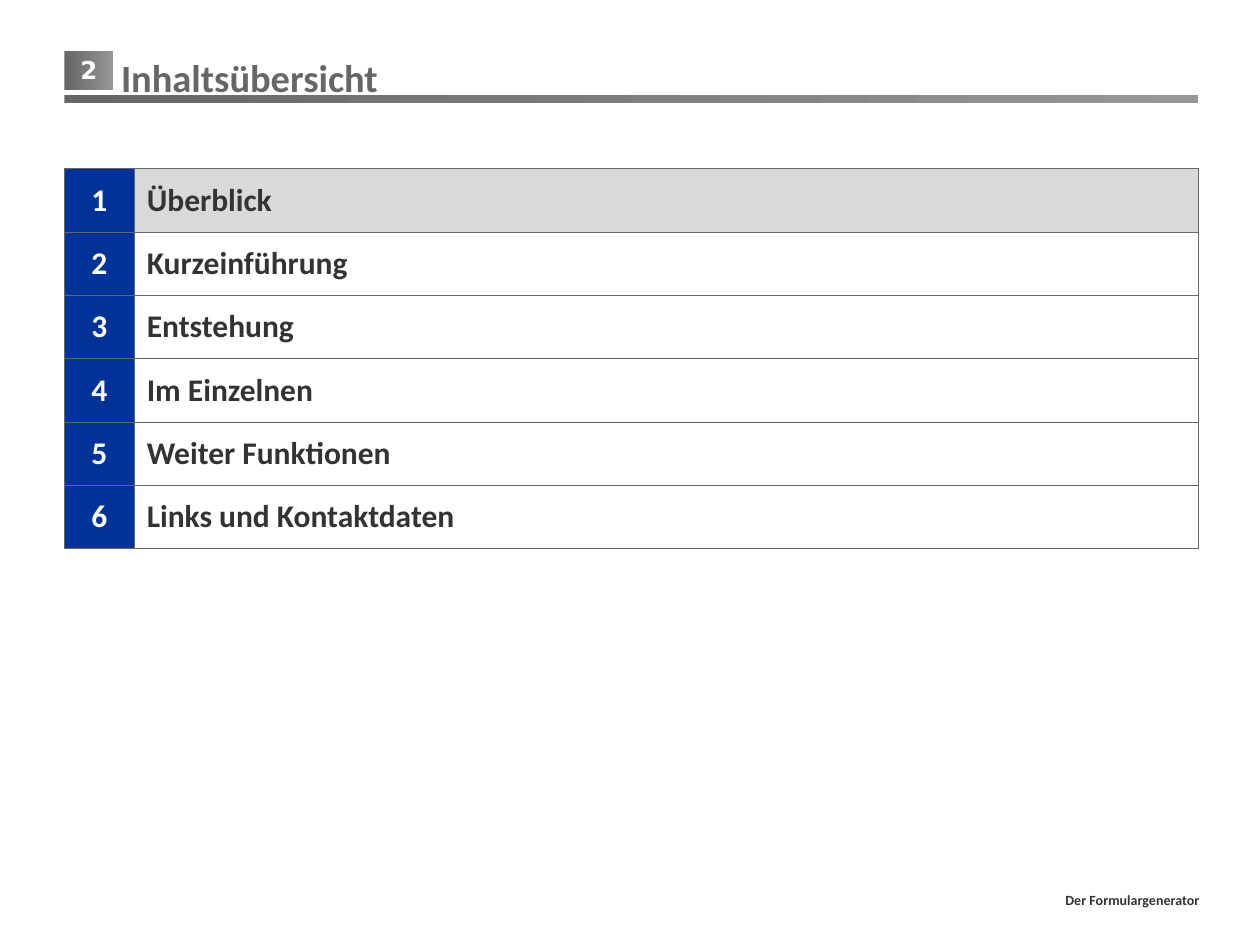
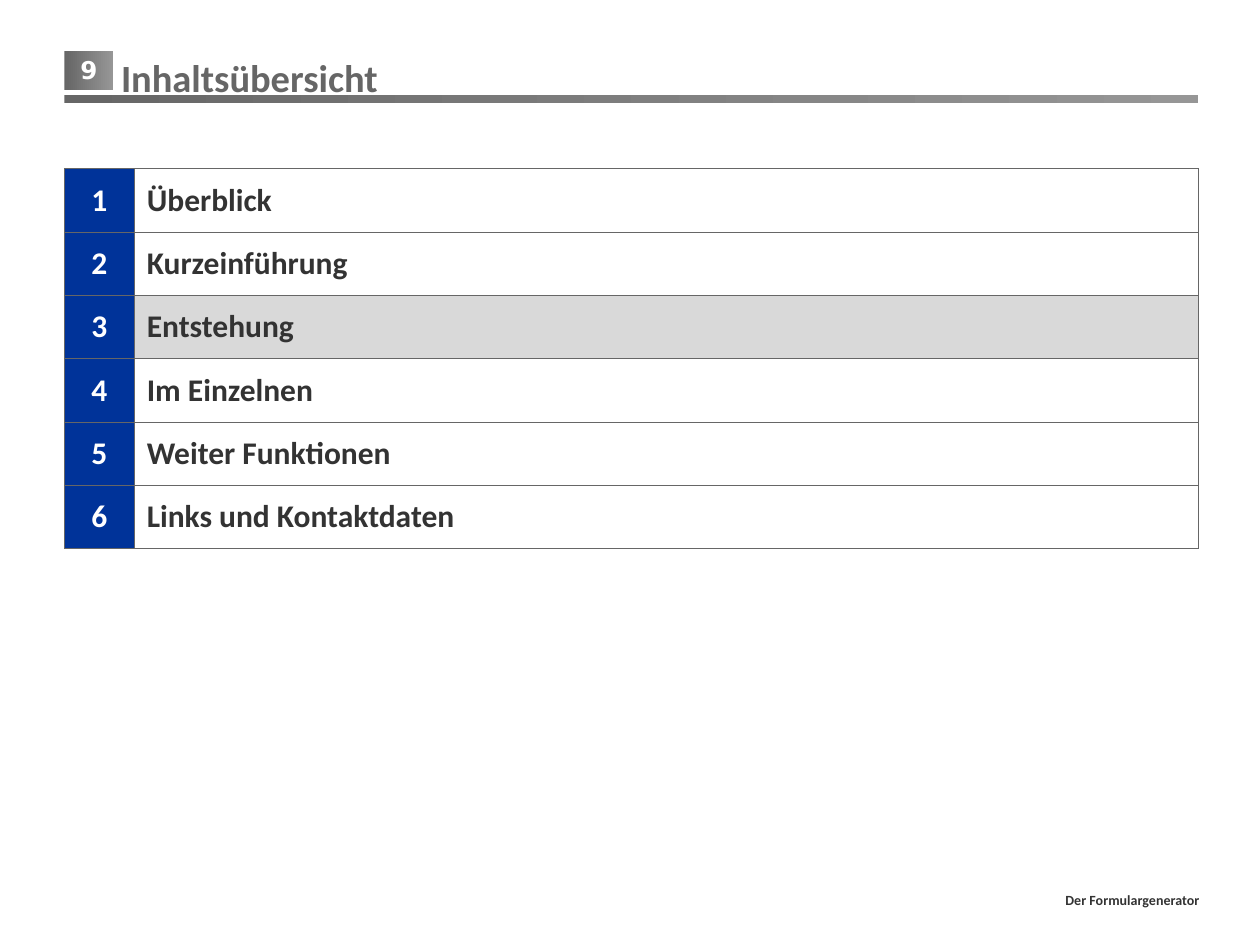
import pptx
import pptx.dml.color
import pptx.enum.shapes
import pptx.enum.text
import pptx.oxml
import pptx.oxml.ns
import pptx.util
from pptx.dml.color import RGBColor
from pptx.util import Cm

TITLE = "Inhaltsübersicht"
FOOTER = "Der Formulargenerator"
CHAPTERS = [
    "Überblick",
    "Kurzeinführung",
    "Entstehung",
    "Im Einzelnen",
    "Weiter Funktionen",
    "Links und Kontaktdaten",
]
PAGES = [
    {"number": 2, "current": "Überblick"},
    {"number": 9, "current": "Entstehung"},
]

GREY = RGBColor(0x66, 0x66, 0x66)
LIGHT_GREY = RGBColor(0x96, 0x96, 0x96)
HIGHLIGHT = RGBColor(0xD9, 0xD9, 0xD9)
INK = RGBColor(0x33, 0x33, 0x33)
BLUE = RGBColor(0x00, 0x33, 0x99)
WHITE = RGBColor(0xFF, 0xFF, 0xFF)

FONT = "Calibri"
NUMBER_FONT = "DejaVu Sans"
LEFT, WIDTH = 1.3, 22.86
TABLE_TOP, ROW_HEIGHT, NUMBER_WIDTH = 3.4, 1.27, 1.41
CELL_MARGIN = Cm(0.25)

ALIGN = pptx.enum.text.PP_ALIGN
ANCHOR = pptx.enum.text.MSO_ANCHOR
SHAPE = pptx.enum.shapes.MSO_SHAPE


def write(frame, text, size, color, align=ALIGN.LEFT, font=FONT):
    para = frame.paragraphs[0]
    para.alignment = align
    span = para.add_run()
    span.text = text
    span.font.name = font
    span.font.size = pptx.util.Pt(size)
    span.font.bold = True
    span.font.color.rgb = color


def add_box(page, kind, left, top, width, height):
    box = page.shapes.add_shape(kind, Cm(left), Cm(top), Cm(width), Cm(height))
    box.shadow.inherit = False
    box.fill.background()
    box.line.fill.background()
    box.text_frame.vertical_anchor = ANCHOR.MIDDLE
    return box


def shade(box):
    box.fill.gradient()
    box.fill.gradient_angle = 0
    for stop, color in zip(box.fill.gradient_stops, (GREY, LIGHT_GREY)):
        stop.color.rgb = color


def add_title(page):
    title = page.shapes.title
    title.left, title.top = Cm(2.24), Cm(0.91)
    title.width, title.height = Cm(22.02), Cm(1.19)
    frame = title.text_frame
    frame.auto_size = pptx.enum.text.MSO_AUTO_SIZE.NONE
    frame.vertical_anchor = ANCHOR.BOTTOM
    frame.margin_left = Cm(0.2)
    frame.margin_top = frame.margin_bottom = Cm(0.07)
    write(frame, TITLE, 22, GREY)


def add_frame(page, number):
    badge = add_box(page, SHAPE.RECTANGLE, LEFT, 1.02, 0.99, 0.79)
    shade(badge)
    badge.text_frame.word_wrap = False
    write(badge.text_frame, str(number), 14, WHITE, ALIGN.CENTER, NUMBER_FONT)
    shade(add_box(page, SHAPE.RECTANGLE, LEFT, 1.92, WIDTH, 0.16))
    footer = add_box(page, SHAPE.ROUNDED_RECTANGLE, 2.92, 17.68, 21.56, 0.91)
    footer.text_frame.word_wrap = True
    write(footer.text_frame, FOOTER, 8, INK, ALIGN.RIGHT)
    add_title(page)


def add_borders(cell):
    properties = cell._tc.get_or_add_tcPr()
    for side in ("lnL", "lnR", "lnT", "lnB"):
        properties.append(pptx.oxml.parse_xml(
            f'<a:{side} {pptx.oxml.ns.nsdecls("a")} w="3175"><a:solidFill>'
            f'<a:srgbClr val="{GREY}"/></a:solidFill></a:{side}>'
        ))


def fill_cell(cell, text, fill, color, align):
    cell.margin_left = cell.margin_right = CELL_MARGIN
    cell.margin_top = cell.margin_bottom = CELL_MARGIN
    cell.vertical_anchor = ANCHOR.MIDDLE
    add_borders(cell)
    cell.fill.solid()
    cell.fill.fore_color.rgb = fill
    write(cell.text_frame, text, 18, color, align)


def add_chapters(page, current):
    table = page.shapes.add_table(
        len(CHAPTERS), 2, Cm(LEFT), Cm(TABLE_TOP),
        Cm(WIDTH), Cm(ROW_HEIGHT * len(CHAPTERS)),
    ).table
    table.first_row = table.horz_banding = False
    table.columns[0].width = Cm(NUMBER_WIDTH)
    table.columns[1].width = Cm(WIDTH - NUMBER_WIDTH)
    for row, chapter in enumerate(CHAPTERS):
        background = HIGHLIGHT if chapter == current else WHITE
        fill_cell(table.cell(row, 0), str(row + 1), BLUE, WHITE, ALIGN.CENTER)
        fill_cell(table.cell(row, 1), chapter, background, INK, ALIGN.LEFT)


def main():
    deck = pptx.Presentation()
    deck.slide_width, deck.slide_height = Cm(25.4), Cm(19.05)
    for content in PAGES:
        page = deck.slides.add_slide(deck.slide_layouts.get_by_name("Title Only"))
        add_frame(page, content["number"])
        add_chapters(page, content["current"])
    deck.save("out.pptx")


if __name__ == "__main__":
    main()
